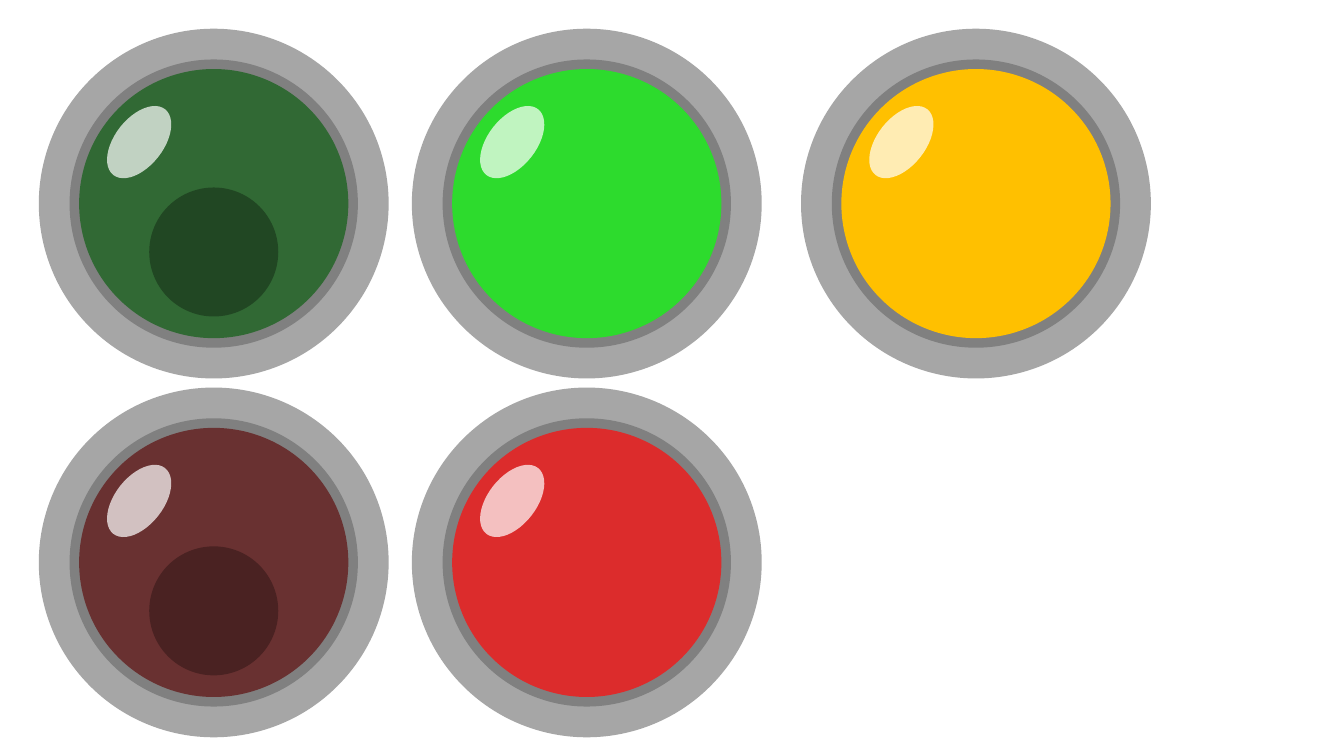
import lxml.etree
import pptx
import pptx.dml.color
import pptx.enum.shapes
import pptx.oxml.ns
import pptx.util

Inches = pptx.util.Inches

COLOURS = {
    "rim": "A6A6A6",
    "groove": "808080",
    "glare": "FFFFFF",
    "green off": "316934",
    "green off core": "214723",
    "green on": "2DDB2D",
    "red off": "693131",
    "red off core": "4A2222",
    "red on": "DC2C2C",
    "amber on": "FFC000",
}
COLUMNS = [2.12, 5.82, 9.68]
ROWS = [2.02, 5.58]
LAMPS = [
    ("green off", 0, 0),
    ("green on", 1, 0),
    ("amber on", 2, 0),
    ("red off", 0, 1),
    ("red on", 1, 1),
]
RIM_SIZE, GROOVE_SIZE, LENS_SIZE, CORE_SIZE = 3.47, 2.86, 2.67, 1.28
CORE_DROP = 0.48
GLARE_SHIFT = (-0.74, -0.61)
GLARE_SIZE = (0.48, 0.83)
GLARE_FORMAT = {"rotation": 38.2}
GLARE_OPACITY = 70


def add_ellipse(slide, centre, size, colour, formats=None):
    x, y = centre
    width, height = size
    shape = slide.shapes.add_shape(
        pptx.enum.shapes.MSO_SHAPE.OVAL,
        Inches(x - width / 2),
        Inches(y - height / 2),
        Inches(width),
        Inches(height),
    )
    shape.fill.solid()
    shape.fill.fore_color.rgb = pptx.dml.color.RGBColor.from_string(COLOURS[colour])
    shape.line.fill.background()
    shape.shadow.inherit = False
    for name, value in (formats or {}).items():
        setattr(shape, name, value)
    return shape


def add_circle(slide, centre, diameter, colour):
    add_ellipse(slide, centre, (diameter, diameter), colour)


def add_glare(slide, centre):
    x, y = centre
    shift_x, shift_y = GLARE_SHIFT
    shape = add_ellipse(
        slide, (x + shift_x, y + shift_y), GLARE_SIZE, "glare", GLARE_FORMAT
    )
    fill_colour = shape.element.spPr.find(
        "/".join(pptx.oxml.ns.qn(tag) for tag in ("a:solidFill", "a:srgbClr"))
    )
    alpha = lxml.etree.SubElement(fill_colour, pptx.oxml.ns.qn("a:alpha"))
    alpha.set("val", str(GLARE_OPACITY * 1000))


def add_lamp(slide, centre, colour):
    add_circle(slide, centre, RIM_SIZE, "rim")
    add_circle(slide, centre, GROOVE_SIZE, "groove")
    add_circle(slide, centre, LENS_SIZE, colour)
    add_glare(slide, centre)
    core_colour = f"{colour} core"
    if core_colour in COLOURS:
        x, y = centre
        add_circle(slide, (x, y + CORE_DROP), CORE_SIZE, core_colour)


def main():
    presentation = pptx.Presentation()
    presentation.slide_width = Inches(13.33)
    presentation.slide_height = Inches(7.5)
    slide = presentation.slides.add_slide(presentation.slide_layouts[6])
    for colour, column, row in LAMPS:
        add_lamp(slide, (COLUMNS[column], ROWS[row]), colour)
    presentation.save("out.pptx")


main()
